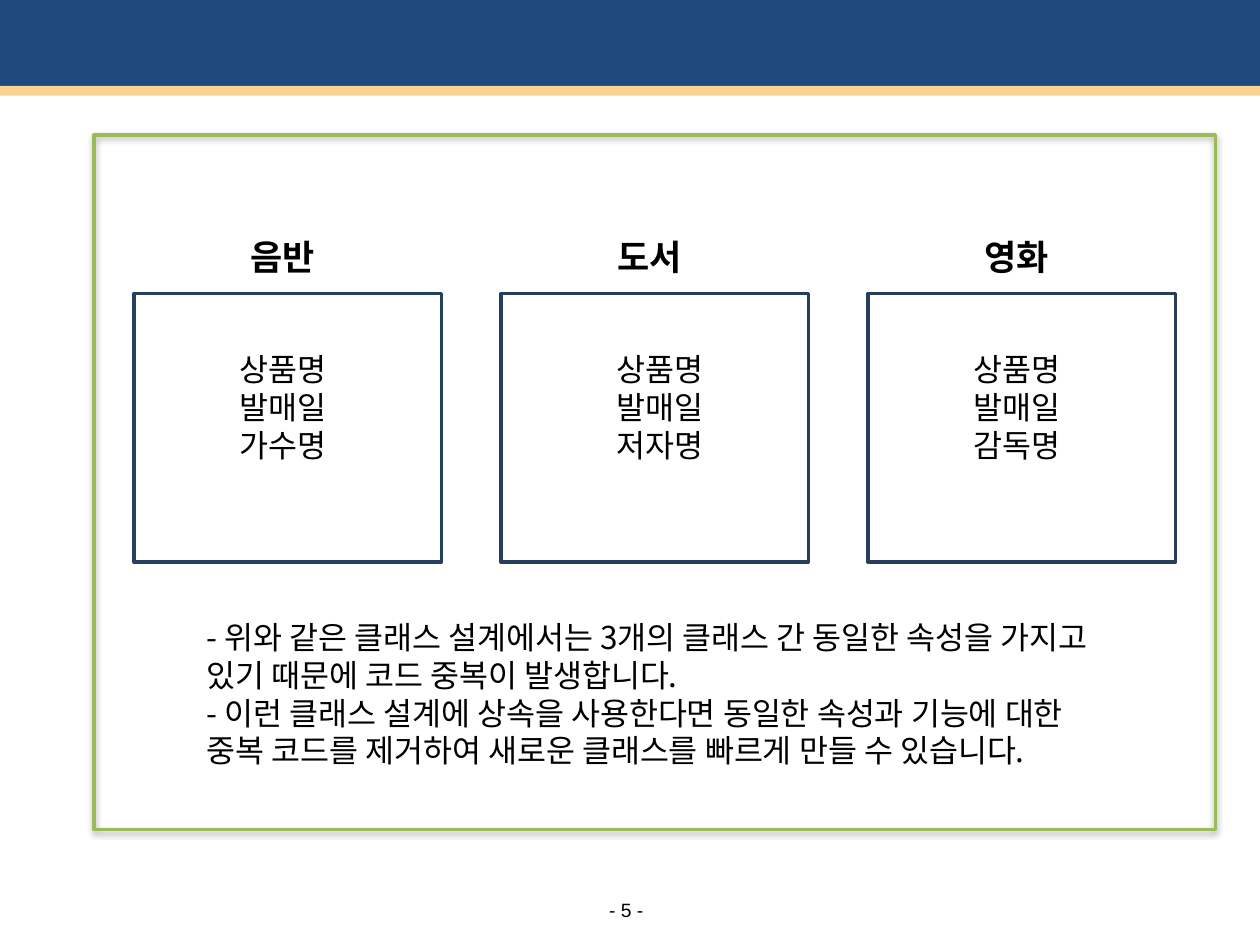
import dataclasses

import lxml.etree
import pptx
import pptx.dml.color
import pptx.enum.shapes
import pptx.enum.text
import pptx.oxml
import pptx.oxml.ns
import pptx.util

Cm = pptx.util.Cm
Pt = pptx.util.Pt
Kind = pptx.enum.shapes.MSO_SHAPE
Align = pptx.enum.text.PP_ALIGN
Fit = pptx.enum.text.MSO_AUTO_SIZE
Anchor = pptx.enum.text.MSO_ANCHOR
qn = pptx.oxml.ns.qn
SPACE = pptx.oxml.ns.nsdecls("a")


@dataclasses.dataclass(frozen=True)
class Theme:
    navy: str = "1F497D"
    sand: str = "F9D490"
    green: str = "9BBB59"
    edge: str = "27405E"
    dark: str = "263E5B"
    black: str = "000000"
    latin: str = "Arial"
    hangul: str = "Noto Sans CJK KR"
    head: int = 20
    text: int = 18
    foot: int = 11
    line: int = 2


class Deck:
    def __init__(self, theme):
        self.theme = theme
        self.file = pptx.Presentation()
        self.file.slide_width = Cm(25.4)
        self.file.slide_height = Cm(19.05)
        self.slide = self.file.slides.add_slide(self.file.slide_layouts[1])
        title = self.slide.shapes.title._element
        title.getparent().remove(title)

    def color(self, code):
        return pptx.dml.color.RGBColor.from_string(code)

    def style(self, para, size, face, bold=False, align=Align.LEFT):
        para.alignment = align
        font = para.font
        font.size = Pt(size)
        font.bold = bold
        font.name = face
        font.color.rgb = self.color(self.theme.black)
        props = para._p.pPr.find(qn("a:defRPr"))
        props.set("kern", "0")
        lxml.etree.SubElement(props, qn("a:ea"), typeface=face)

    def box(self, place, fill=None, line=None, kind=Kind.RECTANGLE):
        shape = self.slide.shapes.add_shape(kind, *map(Cm, place))
        shape.shadow.inherit = False
        if fill:
            shape.fill.solid()
            shape.fill.fore_color.rgb = self.color(fill)
        else:
            shape.fill.background()
        if line:
            shape.line.color.rgb = self.color(line)
            shape.line.width = Pt(self.theme.line)
        else:
            shape.line.fill.background()
        return shape

    def frame(self, place):
        shape = self.box(place, line=self.theme.green, kind=Kind.FLOWCHART_PROCESS)
        glow = shape._element.spPr.find(qn("a:effectLst"))
        glow.append(pptx.oxml.parse_xml(
            f'<a:outerShdw {SPACE} blurRad="{Pt(3.1)}" dist="{Pt(1.8)}" dir="5400000" rotWithShape="0">'
            f'<a:srgbClr val="{self.theme.black}"><a:alpha val="35000"/></a:srgbClr></a:outerShdw>'))

    def label(self, place, lines, size, bold=False):
        body = self.slide.shapes.add_textbox(*map(Cm, place)).text_frame
        body.word_wrap = True
        body.auto_size = Fit.SHAPE_TO_FIT_TEXT
        body.text = "\n".join(lines)
        for para in body.paragraphs:
            self.style(para, size, self.theme.hangul, bold, Align.CENTER)

    def number(self, place, text):
        body = self.slide.shapes.add_textbox(*map(Cm, place)).text_frame
        body.margin_left = body.margin_right = body.margin_top = body.margin_bottom = 0
        body.word_wrap = False
        body.vertical_anchor = Anchor.MIDDLE
        body.text = text
        self.style(body.paragraphs[0], self.theme.foot, self.theme.latin, align=Align.CENTER)

    def notes(self, place, lines):
        shape = self.slide.placeholders[1]
        shape.left, shape.top, shape.width, shape.height = map(Cm, place)
        node = shape._element
        node.getparent().append(node)
        body = shape.text_frame
        body.word_wrap = True
        body.auto_size = Fit.NONE
        body.vertical_anchor = Anchor.TOP
        body.text = "\n".join(lines)
        for para in body.paragraphs:
            para.space_before = Pt(0)
            props = para._p.get_or_add_pPr()
            props.set("marL", "0")
            props.set("indent", "0")
            lxml.etree.SubElement(props, qn("a:buNone"))
            self.style(para, self.theme.text, self.theme.hangul)


def main():
    theme = Theme()
    deck = Deck(theme)
    deck.box((0, -0.08, 25.4, 1.93), fill=theme.navy)
    deck.number((12.08, 18.11, 1.09, 0.48), "- 5 -")
    deck.box((0, 1.73, 25.4, 0.2), fill=theme.sand)
    deck.frame((1.9, 2.72, 22.6, 14))

    cards = (
        ("음반", "가수명", theme.edge, 0),
        ("도서", "저자명", theme.dark, 0.2),
        ("영화", "감독명", theme.dark, 0),
    )
    for index, (name, maker, line, shift) in enumerate(cards):
        step = 7.4 * index
        deck.box((2.7 + step, 5.92, 6.2, 5.41), line=line)
        deck.label((3.3 + step, 4.63, 4.8, 1.09), [name], theme.head, True)
        deck.label((3.3 + step + shift, 6.93, 4.8, 3.28),
                   ["상품명", "발매일", maker], theme.text)

    deck.notes((3.9, 12.33, 18.6, 4.04), [
        "- 위와 같은 클래스 설계에서는 3개의 클래스 간 동일한 속성을 가지고 있기 때문에 코드 중복이 발생합니다.",
        "- 이런 클래스 설계에 상속을 사용한다면 동일한 속성과 기능에 대한 중복 코드를 제거하여 "
        "새로운 클래스를 빠르게 만들 수 있습니다.",
    ])
    deck.file.save("out.pptx")


if __name__ == "__main__":
    main()
